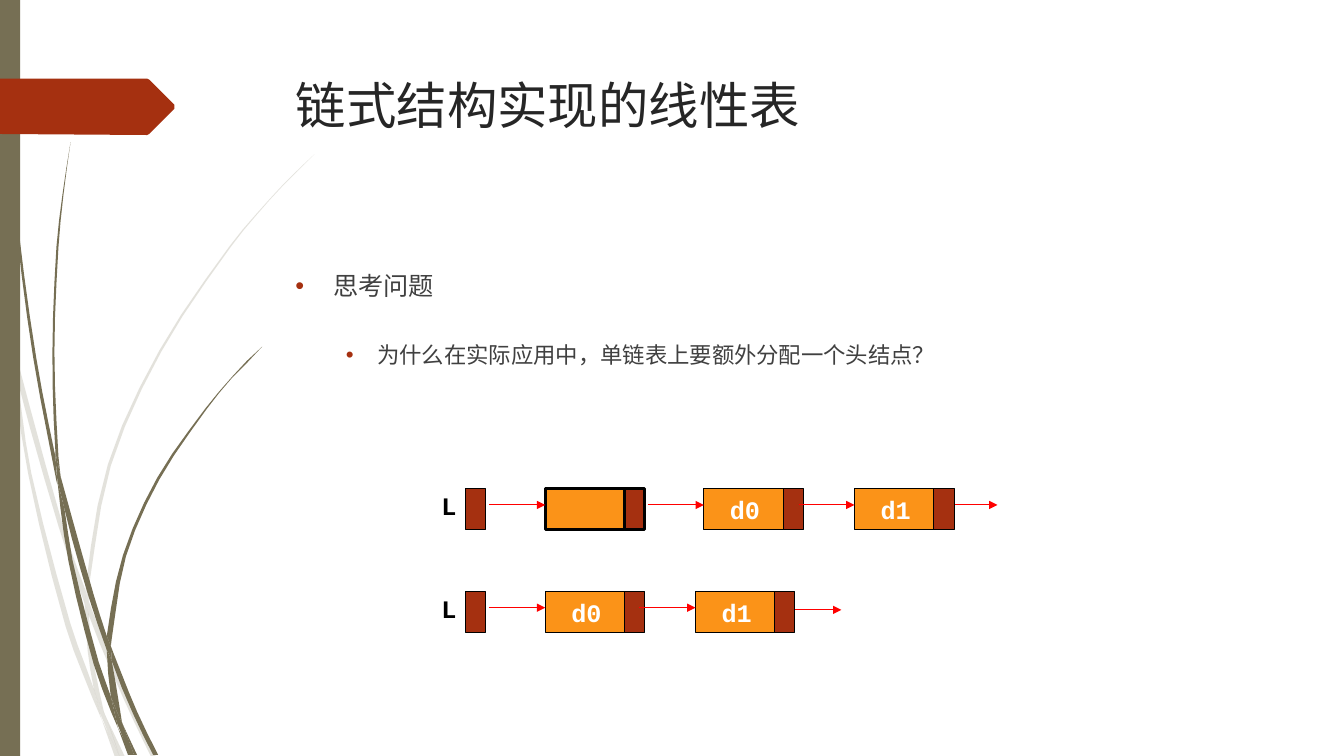
"""Build a slide comparing linked lists with and without a head node."""
from typing import Any, NamedTuple

from lxml.etree import SubElement
from pptx import Presentation
from pptx.dml.color import RGBColor as RGB
from pptx.enum.shapes import MSO_CONNECTOR as Link, MSO_SHAPE as Kind
from pptx.enum.text import MSO_ANCHOR as Anchor, MSO_AUTO_SIZE as Fit, PP_ALIGN as Align
from pptx.oxml.ns import qn
from pptx.util import Pt

COLORS = {
    "olive": "766F54", "rust": "A53010", "orange": "FB9318", "red": "FF0000",
    "black": "000000", "white": "FFFFFF", "title": "262626", "body": "404040",
}
HEADING, MONO = "TeX Gyre Adventor", "Courier New"
KNOT = Pt(0.72)
DATA_W, POINTER_W, NODE_H, ARROW_W = 56.7, 14.4, 29, 40
FRAME = {"word_wrap": True, "auto_size": Fit.NONE, "vertical_anchor": Anchor.TOP}
LABEL = {"word_wrap": False, "auto_size": Fit.SHAPE_TO_FIT_TEXT}


class Blade(NamedTuple):
    """A piece of grass between two smooth edges, in knot units."""
    left: list[tuple[int, int]]
    right: list[tuple[int, int]]


class Node(NamedTuple):
    """A list node with its left edge, label and border width."""
    x: float
    label: str = ""
    border: float = 0.75


class Chain(NamedTuple):
    """A linked list drawn as one row."""
    top: float
    nodes: list[Node]
    tail_x: float
    tail_dy: float


class Item(NamedTuple):
    """A bullet with its level, size and indents."""
    text: str
    level: int
    size: float
    margin: float
    hang: float


PALE_GRASS = [
    Blade([(0, 282), (9, 322), (11, 350)], [(0, 299), (10, 344), (11, 350)]),
    Blade([(14, 345), (17, 376), (58, 522), (84, 599)], [(14, 345), (62, 520), (85, 586)]),
    Blade([(88, 596), (88, 610), (123, 694), (150, 751)], [(88, 596), (92, 607), (127, 692), (155, 751)]),
    Blade([(105, 711), (119, 751)], [(105, 711), (124, 751)]),
    Blade([(11, 350), (28, 470), (65, 621), (92, 693), (101, 714)],
          [(11, 350), (17, 376), (31, 469), (70, 619), (93, 683), (99, 707)]),
    Blade([(84, 599), (87, 646), (93, 683), (96, 692), (105, 711)],
          [(84, 599), (88, 608), (91, 646), (103, 706)]),
    Blade([(312, 153), (289, 175), (268, 197), (228, 244), (158, 348), (107, 461), (85, 584)],
          [(312, 153), (290, 175), (268, 198), (229, 245), (160, 349), (110, 462), (88, 584), (88, 596)]),
    Blade([(101, 714), (114, 751)], [(101, 714), (119, 751)]),
    Blade([(85, 586), (84, 599), (88, 608)], [(85, 586), (88, 596), (88, 610)]),
    Blade([(93, 683), (99, 707), (119, 751)], [(93, 683), (96, 692), (105, 711), (119, 751)]),
]
DARK_GRASS = [
    Blade([(3, 0), (3, 48), (7, 110), (17, 233), (33, 355), (56, 477), (57, 481)],
          [(3, 0), (5, 48), (8, 109), (19, 232), (36, 355), (55, 453)]),
    Blade([(60, 472), (64, 505), (88, 592), (106, 645)], [(60, 472), (93, 590), (106, 631)]),
    Blade([(110, 641), (111, 656), (132, 708), (152, 749)], [(110, 641), (113, 649), (136, 706), (157, 749)]),
    Blade([(57, 477), (68, 557), (93, 659), (111, 708), (117, 722)],
          [(57, 477), (64, 505), (72, 556), (98, 657), (110, 691), (116, 717)]),
    Blade([(70, 141), (62, 193), (56, 245), (52, 349), (55, 449), (60, 472)],
          [(70, 141), (63, 193), (58, 245), (54, 349), (58, 453)]),
    Blade([(122, 719), (133, 749)], [(122, 719), (136, 749)]),
    Blade([(55, 449), (55, 453), (57, 477)], [(55, 449), (60, 472), (64, 505)]),
    Blade([(260, 344), (245, 358), (231, 373), (204, 405), (156, 474), (122, 551), (106, 631)],
          [(260, 344), (246, 359), (231, 374), (205, 406), (158, 476), (125, 552), (111, 633), (110, 641)]),
    Blade([(117, 722), (127, 749)], [(117, 722), (131, 749)]),
    Blade([(106, 645), (110, 691), (116, 706), (122, 719)], [(106, 645), (109, 651), (111, 656), (121, 716)]),
    Blade([(106, 631), (106, 645), (109, 651)], [(106, 631), (110, 641), (111, 656)]),
    Blade([(110, 691), (116, 717), (130, 749)], [(110, 691), (116, 706), (122, 719), (133, 749)]),
]
RIBBON = [complex(*spot) for spot in
          [(-1, 78), (146, 78), (148, 79), (173, 104), (173, 108), (148, 133), (146, 134), (-1, 133)]]
CHAINS = [
    Chain(349.2, [Node(389.5, border=2.25), Node(502.8, "d0"), Node(610.4, "d1")], 672.5, 11.5),
    Chain(422.6, [Node(389.5, "d0"), Node(496.8, "d1")], 561, 13),
]
ITEMS = [
    Item("思考问题", 0, 18, 27, 27),
    Item("为什么在实际应用中，单链表上要额外分配一个头结点？", 1, 16, 58.5, 22.5),
]


def assign(obj: Any, values: dict[str, Any]) -> None:
    """Set each named attribute on an object."""
    for name, value in values.items():
        setattr(obj, name, value)


def color(name: str) -> RGB:
    """Look up a palette colour."""
    return RGB.from_string(COLORS[name])


def write(p: Any, text: str, size: float, font: str, ink: str, bold: bool = False) -> None:
    """Add one formatted run to a paragraph."""
    r = p.add_run()
    r.text = text
    assign(r.font, {"size": Pt(size), "name": font, "bold": bold})
    r.font.color.rgb = color(ink)


def paint(sp: Any, fill: str, border: float = 0) -> None:
    """Give a shape a flat fill and an optional black border."""
    sp.shadow.inherit = False
    sp.fill.solid()
    sp.fill.fore_color.rgb = color(fill)
    sp.line.fill.background()
    if border:
        sp.line.color.rgb = color("black")
        sp.line.width = Pt(border)


def box(s: Any, x: float, y: float, w: float, h: float, fill: str, border: float = 0) -> None:
    """Draw a filled rectangle."""
    paint(s.shapes.add_shape(Kind.RECTANGLE, Pt(x), Pt(y), Pt(w), Pt(h)), fill, border)


def smooth(points: list[tuple[int, int]]) -> list[complex]:
    """Sample a Hermite curve, with more steps on longer spans."""
    z = [complex(*point) for point in points]
    h = [abs(b - a) for a, b in zip(z, z[1:])]
    secants = [(b - a) / d for a, b, d in zip(z, z[1:], h)]
    inner = [(c - a) / (d + e) for a, c, d, e in zip(z, z[2:], h, h[1:])]
    ends = [1.5 * sec - 0.5 * m for sec, m in
            [(secants[0], (inner or secants)[0]), (secants[-1], (inner or secants)[-1])]]
    slopes = [ends[0], *inner, ends[1]]
    curve = z[:1]
    for i, d in enumerate(h):
        n = 1 if len(h) == 1 else min(3, 1 + int(d // 30))
        for u in (k / n for k in range(1, n + 1)):
            bend = u * (1 - u) * ((1 - u) * slopes[i] - u * slopes[i + 1])
            curve.append(z[i] + d * (u * u * (3 - 2 * u) * secants[i] + bend))
    return curve


def outline(s: Any, spots: list[complex], fill: str, alpha: int = 100) -> None:
    """Draw a closed outline, optionally see-through."""
    first, *rest = [(z.real * KNOT, z.imag * KNOT) for z in spots]
    builder = s.shapes.build_freeform(*first)
    builder.add_line_segments(rest, close=True)
    sp = builder.convert_to_shape()
    paint(sp, fill)
    if alpha < 100:
        SubElement(sp.element.spPr.find(qn("a:solidFill"))[0], qn("a:alpha"), val=str(alpha * 1000))


def arrow(s: Any, x: float, y: float) -> None:
    """Draw a red arrow to the right."""
    c = s.shapes.add_connector(Link.STRAIGHT, Pt(x), Pt(y), Pt(x + ARROW_W), Pt(y))
    c.line.color.rgb = color("red")
    c.line.width = Pt(0.75)
    SubElement(c.element.spPr.find(qn("a:ln")), qn("a:tailEnd"), type="triangle")
    SubElement(c.element.spPr, qn("a:effectLst"))


def label(s: Any, text: str, x: float, y: float, w: float, ink: str) -> None:
    """Place a bold monospaced label."""
    tf = s.shapes.add_textbox(Pt(x), Pt(y), Pt(w), Pt(NODE_H)).text_frame
    assign(tf, LABEL)
    write(tf.paragraphs[0], text, 18, MONO, ink, True)


def draw_chain(s: Any, chain: Chain) -> None:
    """Draw the head pointer, the nodes and their arrows."""
    y = chain.top
    label(s, "L", 308.2, y - 2.2, 25, "black")
    box(s, 332.6, y, POINTER_W, NODE_H, "rust", 0.75)
    arrow(s, chain.tail_x, y + chain.tail_dy)
    for x, text, border in chain.nodes:
        box(s, x, y, DATA_W, NODE_H, "orange", border)
        box(s, x + DATA_W, y, POINTER_W, NODE_H, "rust", border)
        arrow(s, x - ARROW_W, y + 11.5)
        if text:
            label(s, text, x + 11.5, y + 0.4, 36, "white")


def fill_body(tf: Any) -> None:
    """Write the bulleted list."""
    for i, item in enumerate(ITEMS):
        p = tf.add_paragraph() if i else tf.paragraphs[0]
        assign(p, {"level": item.level, "line_spacing": 2.0, "space_before": Pt(10)})
        write(p, item.text, item.size, HEADING, "body")
        pr = p._p.get_or_add_pPr()
        pr.set("marL", str(Pt(item.margin)))
        pr.set("indent", str(-Pt(item.hang)))
        SubElement(SubElement(pr, qn("a:buClr")), qn("a:srgbClr"), val=COLORS["rust"])
        SubElement(pr, qn("a:buFont"), typeface="Arial")
        SubElement(pr, qn("a:buChar"), char="•")


def place(sp: Any, x: float, y: float, w: float, h: float) -> None:
    """Move, size and anchor a placeholder."""
    assign(sp, {"left": Pt(x), "top": Pt(y), "width": Pt(w), "height": Pt(h)})
    assign(sp.text_frame, FRAME)


prs = Presentation()
assign(prs, {"slide_width": Pt(960), "slide_height": Pt(540)})
s = prs.slides.add_slide(prs.slide_layouts[1])
for grass, alpha in ((PALE_GRASS, 20), (DARK_GRASS, 100)):
    for blade in grass:
        outline(s, smooth(blade.left) + smooth(blade.right)[::-1], "olive", alpha)
box(s, 0, 0, 14.4, 540, "olive")
outline(s, RIBBON, "rust")
title, body = s.placeholders
place(title, 204.2, 49, 702, 100.8)
p = title.text_frame.paragraphs[0]
p.alignment = Align.LEFT
write(p, "链式结构实现的线性表", 36, HEADING, "title")
place(body, 203.8, 167.8, 702, 297.4)
fill_body(body.text_frame)
for chain in CHAINS:
    draw_chain(s, chain)
prs.save("out.pptx")
